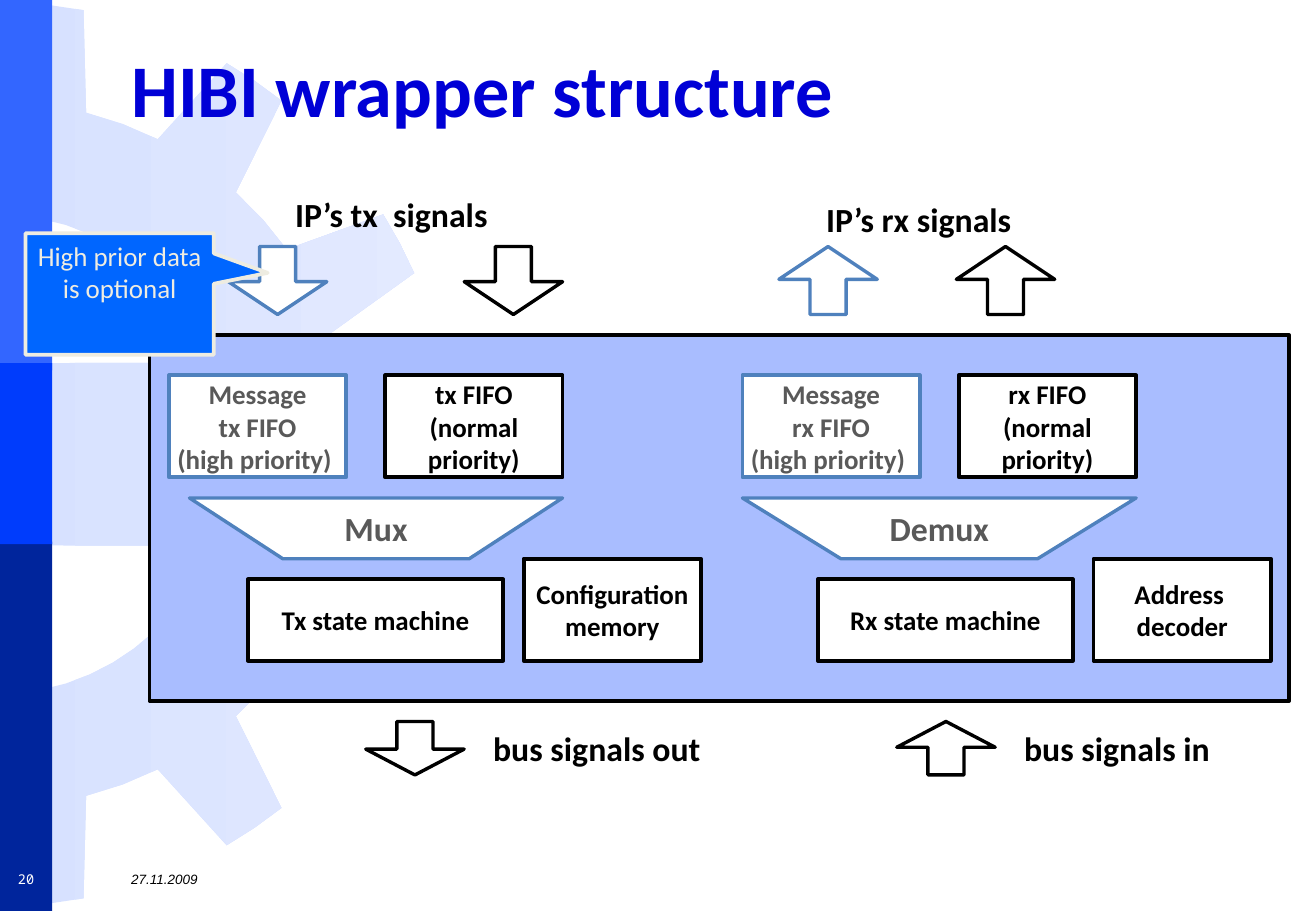
import math

import pptx
import pptx.util
import pptx.dml.color
import pptx.enum.shapes
import pptx.enum.text

Inches, Pt = pptx.util.Inches, pptx.util.Pt
RGB = pptx.dml.color.RGBColor.from_string
SHAPE = pptx.enum.shapes.MSO_SHAPE
ALIGN = pptx.enum.text.PP_ALIGN
ANCHOR = pptx.enum.text.MSO_ANCHOR
COLORS = {
    "title": "0000D6", "black": "000000", "white": "FFFFFF", "gray": "595959",
    "optional": "4F81BD", "wrapper": "A9BDFF", "callout": "0066FF", "cream": "EEECE1",
    "bar_top": "3366FF", "bar_mid": "003CFC", "bar_low": "00259C",
    "gear_left": "D7E1FF", "gear_right": "E3EAFF",
}

prs = pptx.Presentation()
prs.slide_width, prs.slide_height = Inches(10.83), Inches(7.5)
s = prs.slides.add_slide(prs.slide_layouts[5])


def add_shape(kind, box, fill, line=None, width=2.25):
    """Add a preset shape, or an outline when kind is a list of points."""
    if isinstance(kind, list):
        pts = [(Inches(x), Inches(y)) for x, y in kind]
        fb = s.shapes.build_freeform(*pts[0])
        fb.add_line_segments(pts[1:], close=True)
        sp = fb.convert_to_shape()
    else:
        sp = s.shapes.add_shape(kind, *map(Inches, box))
    sp.shadow.inherit = False
    sp.fill.solid()
    sp.fill.fore_color.rgb = RGB(COLORS[fill])
    if line:
        sp.line.color.rgb = RGB(COLORS[line])
        sp.line.width = Pt(width)
    else:
        sp.line.fill.background()
    return sp


def set_text(sp, text, size, color, bold=True, font="Calibri", italic=False,
             align=ALIGN.CENTER, anchor=ANCHOR.MIDDLE, wrap=False):
    tf = sp.text_frame
    tf.text = text
    tf.word_wrap = wrap
    tf.vertical_anchor = anchor
    for p in tf.paragraphs:
        p.alignment = align
        for r in p.runs:
            r.font.name, r.font.size = font, Pt(size)
            r.font.bold, r.font.italic = bold, italic
            r.font.color.rgb = RGB(COLORS[color])


# Background gear: right half of a toothed wheel centred on the slide's left edge.
# Each outline point is (horizontal radius, vertical radius, angle in degrees).
GEAR_Y, TIP, ROOT, PITCH = 3.74, 3.72, 2.9, 27.85
HUB_X, HUB_Y, SPOKE = 1.89, 1.97, 0.75
HUB_START, HUB_END, HUB_STEPS = 86, 22.5, 10
tooth = [(-PITCH / 2, ROOT), (-7.7, ROOT), (-4.2, TIP), (0, TIP), (4.2, TIP), (7.7, ROOT)]
rim = [(radius, radius, n * PITCH + offset) for n in range(-3, 4) for offset, radius in tooth]
rim = [point for point in rim if abs(point[2]) < 88]
hub = [(HUB_X, HUB_Y, HUB_START + (HUB_END - HUB_START) * i / HUB_STEPS)
       for i in range(HUB_STEPS + 1)]
lower_hub = [(rx, ry, -angle) for rx, ry, angle in reversed(hub)]
outline = rim + hub + [(0, SPOKE, 90), (0, SPOKE, -90)] + lower_hub
gear = add_shape([(rx * math.cos(math.radians(angle)), GEAR_Y - ry * math.sin(math.radians(angle)))
                  for rx, ry, angle in outline], None, "gear_left")
gear.fill.gradient()
gear.fill.gradient_angle = 0
for stop, name, pos in zip(gear.fill.gradient_stops, ("gear_left", "gear_right"), (0, 1)):
    stop.color.rgb = RGB(COLORS[name])
    stop.position = pos

# Side bars
BAR_W = 0.43
for top, height, fill in [(0, 3.05, "bar_top"), (4.46, 3.04, "bar_low"), (2.99, 1.49, "bar_mid")]:
    add_shape(SHAPE.RECTANGLE, (0, top, BAR_W, height), fill)

# Title, raised above the background
MARGIN, CONTENT_W = 0.98, 9.39
title = s.shapes.title
s.shapes._spTree.append(title._element)
title.left, title.top, title.width, title.height = map(Inches, (MARGIN, 0.21, CONTENT_W, 0.94))
set_text(title, "HIBI wrapper structure", 44, "title", align=ALIGN.LEFT,
         anchor=ANCHOR.BOTTOM, wrap=True)
title.text_frame.paragraphs[0].line_spacing = 0.9

# Wrapper frame
add_shape(SHAPE.RECTANGLE, (1.23, 2.76, 9.38, 3.01), "wrapper", "black")

# Signal labels
IP_Y, BUS_Y = 2.03, 5.94
for x, y, w, text in [(2.33, 1.55, 1.8, "IP’s tx  signals"), (6.7, 1.59, 1.74, "IP’s rx signals"),
                      (3.96, BUS_Y, 1.92, "bus signals out"), (8.33, BUS_Y, 1.74, "bus signals in")]:
    tb = s.shapes.add_textbox(Inches(x), Inches(y), Inches(w), Inches(0.44))
    set_text(tb, text, 20, "black", align=ALIGN.LEFT, anchor=ANCHOR.TOP)

# Signal arrows: down on the tx side, up on the rx side
arrow_rows = [(IP_Y, 0.56, "optional"), (IP_Y, 0.56, "black"), (BUS_Y, 0.44, "black")]
for kind, xs in [(SHAPE.DOWN_ARROW, (1.88, 3.82, 3.01)), (SHAPE.UP_ARROW, (6.41, 7.87, 7.38))]:
    for x, (y, h, line) in zip(xs, arrow_rows):
        arrow = add_shape(kind, (x, y, 0.81, h), "white", line, 2)
        arrow.adjustments[0], arrow.adjustments[1] = 0.367, 0.483

# FIFOs of both directions
BOX_W, BOX_H, FIFO_Y, FIFO_STEP = 1.46, 0.84, 3.09, 1.78
for x, way in [(1.39, "tx"), (6.11, "rx")]:
    fifos = [(f"Message\n{way} FIFO\n(high priority) ", "optional", "gray"),
             (f"{way} FIFO\n(normal\npriority)", "black", "black")]
    for i, (text, line, color) in enumerate(fifos):
        sp = add_shape(SHAPE.RECTANGLE, (x + i * FIFO_STEP, FIFO_Y, BOX_W, BOX_H), "white", line)
        set_text(sp, text, 16, color)

# Mux and demux, tapered by a quarter of the width on each side
MUX_TOP, MUX_BOTTOM = 4.1, 4.6
for left, right, text in [(1.56, 4.63, "Mux"), (6.11, 9.35, "Demux")]:
    taper = (right - left) / 4
    sp = add_shape([(left, MUX_TOP), (left + taper, MUX_BOTTOM),
                    (right - taper, MUX_BOTTOM), (right, MUX_TOP)], None, "white", "optional", 2)
    set_text(sp, text, 20, "gray")

# State machines, each with its memory or decoder on the same base line
BASE_Y, MACHINE_W, MACHINE_H, GAP = 5.44, 2.1, 0.67, 0.17
for x, machine, partner in [(2.04, "Tx state machine", "Configuration\nmemory"),
                            (6.73, "Rx state machine", "Address \ndecoder")]:
    for left, w, h, text in [(x, MACHINE_W, MACHINE_H, machine),
                             (x + MACHINE_W + GAP, BOX_W, BOX_H, partner)]:
        sp = add_shape(SHAPE.RECTANGLE, (left, BASE_Y - h, w, h), "white", "black")
        set_text(sp, text, 16, "black")

# Callout
callout = add_shape(SHAPE.RECTANGULAR_CALLOUT, (0.21, 1.92, 1.55, 1), "callout", "cream")
callout.adjustments[0], callout.adjustments[1] = 0.786, -0.173
set_text(callout, "High prior data is optional", 16, "cream", bold=False,
         anchor=ANCHOR.TOP, wrap=True)

# Date and slide number
for x, w, text, font, color, italic, align in [
        (MARGIN, CONTENT_W, "27.11.2009", "Arial", "black", True, ALIGN.LEFT),
        (0, BAR_W, "20", "Noto Sans Mono", "white", False, ALIGN.CENTER)]:
    tb = s.shapes.add_textbox(Inches(x), Inches(7.11), Inches(w), Inches(0.26))
    set_text(tb, text, 8, color, bold=False, font=font, italic=italic, align=align,
             wrap=align == ALIGN.LEFT)

prs.save("out.pptx")
